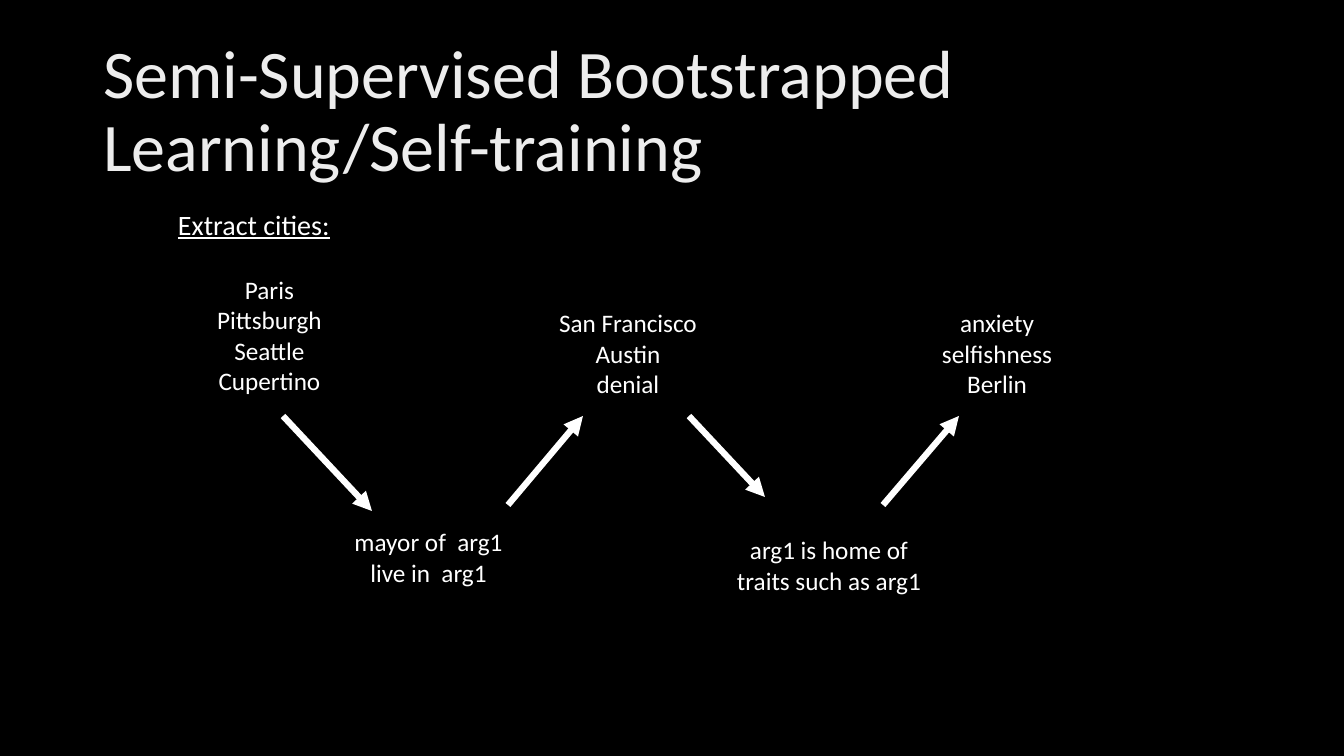
from lxml.etree import SubElement
from pptx import Presentation
from pptx.dml.color import RGBColor
from pptx.enum.shapes import MSO_CONNECTOR
from pptx.enum.text import MSO_ANCHOR, MSO_AUTO_SIZE, PP_ALIGN
from pptx.oxml.ns import qn
from pptx.util import Pt

# Content: text and boxes (left, top, width, height) in px
TITLE = "Semi-Supervised Bootstrapped Learning/Self-training"
TITLE_BOX = (93, 40, 1159, 146)
HEADING = "Extract cities:"
HEADING_BOX = (168, 202, 194, 44)
GROUPS = [
    (["Paris", "Pittsburgh", "Seattle", "Cupertino"], (202, 269, 135, 132)),
    (["mayor of  arg1", "live in  arg1"], (343, 521, 171, 72)),
    (["San Francisco", "Austin", "denial"], (546, 302, 164, 102)),
    (["arg1 is home of", "traits such as arg1"], (725, 529, 208, 72)),
    (["anxiety", "selfishness", "Berlin"], (930, 302, 134, 102)),
]
# Arrows: from x, from y, to x, to y
ARROWS = [
    (283, 416, 372, 511),
    (508, 505, 583, 416),
    (689, 416, 765, 497),
    (883, 505, 959, 416),
]

FONT = "Calibri"
BLACK = RGBColor(0x00, 0x00, 0x00)
WHITE = RGBColor(0xFF, 0xFF, 0xFF)
SILVER = RGBColor(0xED, 0xED, 0xED)
EMU_PER_PX = 914400 / 100.8


def emu(lengths):
    return [round(v * EMU_PER_PX) for v in lengths]


def write(sp, lines, size=18, color=WHITE, align=PP_ALIGN.CENTER,
          wrap=False, underline=None, spacing=None):
    tf = sp.text_frame
    tf.word_wrap = wrap
    tf.auto_size = MSO_AUTO_SIZE.NONE
    tf.vertical_anchor = MSO_ANCHOR.MIDDLE
    for i, line in enumerate(lines):
        p = tf.add_paragraph() if i else tf.paragraphs[0]
        p.alignment = align
        p.line_spacing = spacing
        r = p.add_run()
        r.text = line
        r.font.name = FONT
        r.font.size = Pt(size)
        r.font.color.rgb = color
        r.font.underline = underline


prs = Presentation()
prs.slide_width, prs.slide_height = emu((1344, 756))
s = prs.slides.add_slide(prs.slide_layouts[5])
s.background.fill.solid()
s.background.fill.fore_color.rgb = BLACK

# Title
title = s.shapes.title
title.left, title.top, title.width, title.height = emu(TITLE_BOX)
write(title, [TITLE], size=48.6, color=SILVER, align=PP_ALIGN.LEFT,
      wrap=True, spacing=0.9)

# Heading
write(s.shapes.add_textbox(*emu(HEADING_BOX)), [HEADING], size=20,
      align=PP_ALIGN.LEFT, wrap=True, underline=True)

# Seeds, patterns and extracted words
for lines, box in GROUPS:
    write(s.shapes.add_textbox(*emu(box)), lines)

# Arrows between the groups
for ends in ARROWS:
    arrow = s.shapes.add_connector(MSO_CONNECTOR.STRAIGHT, *emu(ends))
    arrow.line.color.rgb = WHITE
    arrow.line.width = Pt(4.5)
    SubElement(arrow.line._get_or_add_ln(), qn("a:tailEnd"), type="triangle")
    SubElement(arrow._element.spPr, qn("a:effectLst"))

prs.save("out.pptx")
